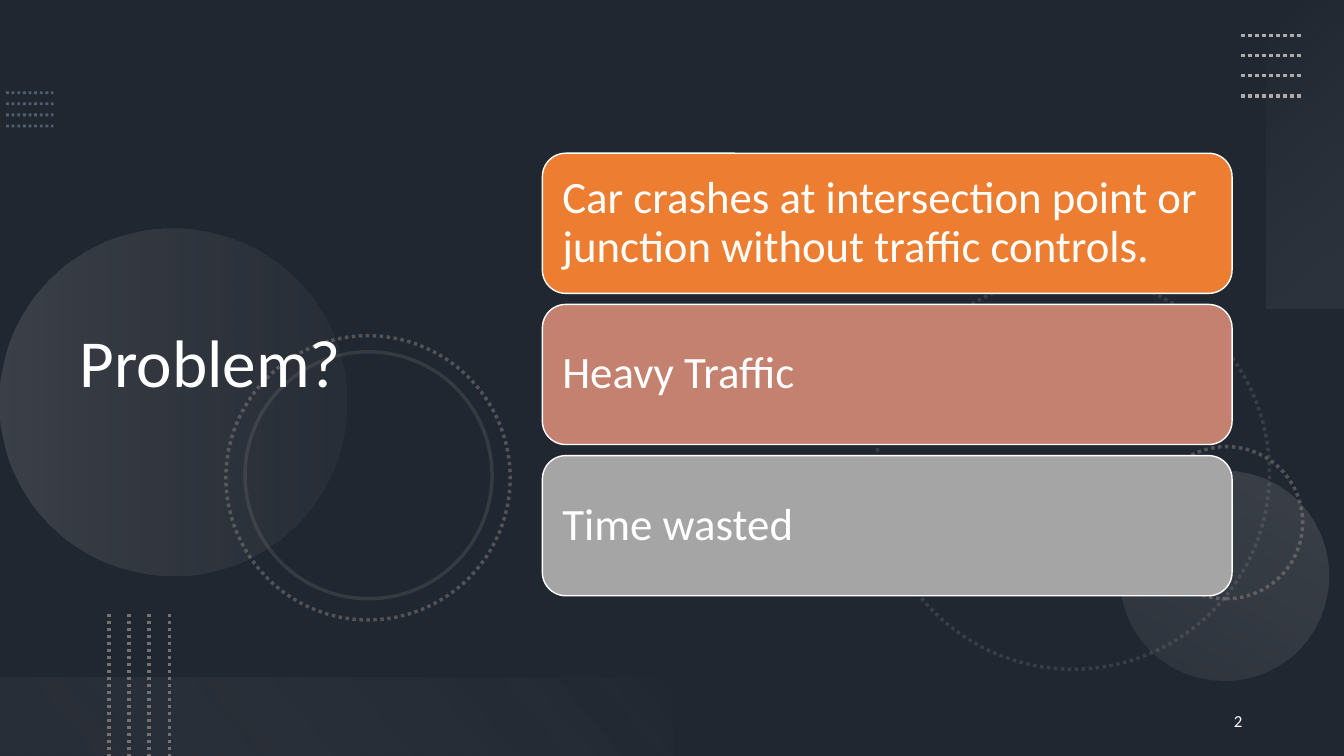
from dataclasses import dataclass

from lxml.etree import SubElement
from pptx import Presentation
from pptx.dml.color import RGBColor
from pptx.enum.dml import MSO_LINE
from pptx.enum.shapes import MSO_CONNECTOR, MSO_SHAPE
from pptx.enum.text import MSO_ANCHOR, MSO_AUTO_SIZE, PP_ALIGN
from pptx.oxml.ns import qn
from pptx.util import Emu, Pt

PX = 9144  # 100 px to the inch
FONT = "Calibri"

BLACK = RGBColor(0x00, 0x00, 0x00)
WHITE = RGBColor(0xFF, 0xFF, 0xFF)
SLATE = RGBColor(0x44, 0x54, 0x6A)
BLUE_GRAY = RGBColor(0x84, 0x97, 0xB0)
GRAY = RGBColor(0x76, 0x71, 0x71)
LIGHT_GRAY = RGBColor(0xAF, 0xAB, 0xAB)
PALE = RGBColor(0xF5, 0xF5, 0xF5)
ORANGE = RGBColor(0xED, 0x7D, 0x31)
ROSE = RGBColor(0xC4, 0x81, 0x70)
SILVER = RGBColor(0xA5, 0xA5, 0xA5)


@dataclass
class Stop:
    position: float
    color: RGBColor
    opacity: int


@dataclass
class Glow:
    """A shape with a translucent gradient; angle is clockwise."""
    kind: MSO_SHAPE
    box: tuple[int, int, int, int]
    rotation: int
    angle: int
    stops: tuple[Stop, Stop]


@dataclass
class Ring:
    left: int
    top: int
    size: int
    rotation: int
    opacity: int
    dotted: bool = True


@dataclass
class DotRows:
    """Four parallel dotted lines, each shifted by (dx, dy) from the last."""
    start: tuple[int, int]
    end: tuple[int, int]
    dx: int
    dy: int
    color: RGBColor
    width: float
    opacity: int = 100


@dataclass
class Card:
    text: str
    color: RGBColor


GLOWS_BEHIND = [
    Glow(MSO_SHAPE.OVAL, (0, 227, 344, 344), 270, 90,
         (Stop(0, LIGHT_GRAY, 20), Stop(1, GRAY, 10))),
    Glow(MSO_SHAPE.OVAL, (1110, 467, 208, 208), 210, 90,
         (Stop(0, LIGHT_GRAY, 10), Stop(1, LIGHT_GRAY, 20))),
    Glow(MSO_SHAPE.RECTANGLE, (1142, 114, 306, 78), 270, 140,
         (Stop(0, PALE, 0), Stop(1, LIGHT_GRAY, 10))),
    Glow(MSO_SHAPE.RECTANGLE, (0, 672, 667, 78), 180, 140,
         (Stop(0.1, GRAY, 10), Stop(1, PALE, 0))),
]
RINGS = [
    Ring(869, 274, 390, 75, 30),
    Ring(1141, 443, 151, 270, 60),
    Ring(224, 333, 282, 75, 60),
    Ring(243, 349, 245, 75, 25, dotted=False),
]
DOT_ROWS = [
    DotRows((6, 92), (53, 92), 0, 11, BLUE_GRAY, 2, 50),
    DotRows((1231, 35), (1291, 35), 0, 20, LIGHT_GRAY, 2.5),
    DotRows((108, 609), (108, 750), 20, 0, GRAY, 2.5),
]
CARDS = [
    Card("Car crashes at intersection point or junction without traffic controls.", ORANGE),
    Card("Heavy Traffic", ROSE),
    Card("Time wasted", SILVER),
]
CARD_TOP, CARD_PITCH = 152, 150


def px(*values: int) -> list[Emu]:
    return [Emu(v * PX) for v in values]


def set_opacity(element, *percents: int) -> None:
    """Give the element's RGB colours, in order, their opacities."""
    for color, percent in zip(element.iter(qn("a:srgbClr")), percents):
        SubElement(color, qn("a:alpha")).set("val", str(percent * 1000))


def add_plain(s, kind: MSO_SHAPE, box: tuple[int, int, int, int], rotation: int = 0):
    sp = s.shapes.add_shape(kind, *px(*box))
    sp.rotation = rotation
    sp.shadow.inherit = False
    return sp


def add_shade(s) -> None:
    sp = add_plain(s, MSO_SHAPE.RECTANGLE, (0, 0, 1333, 750))
    sp.fill.solid()
    sp.fill.fore_color.rgb = BLACK
    sp.line.fill.background()
    set_opacity(sp.element.spPr, 53)


def add_glow(s, glow: Glow) -> None:
    sp = add_plain(s, glow.kind, glow.box, glow.rotation)
    sp.fill.gradient()
    sp.fill.gradient_angle = 360 - glow.angle
    for target, stop in zip(sp.fill.gradient_stops, glow.stops):
        target.position = stop.position
        target.color.rgb = stop.color
    sp.line.fill.background()
    set_opacity(sp.element.spPr, *(stop.opacity for stop in glow.stops))


def style_line(line, color: RGBColor, width: float, dotted: bool) -> None:
    line.color.rgb = color
    line.width = Pt(width)
    if dotted:
        line.dash_style = MSO_LINE.ROUND_DOT


def add_ring(s, ring: Ring) -> None:
    sp = add_plain(s, MSO_SHAPE.OVAL, (ring.left, ring.top, ring.size, ring.size), ring.rotation)
    sp.fill.background()
    style_line(sp.line, GRAY, 2.5, ring.dotted)
    set_opacity(sp.element.spPr, ring.opacity)


def add_dot_rows(s, rows: DotRows) -> None:
    for i in range(4):
        dx, dy = i * rows.dx, i * rows.dy
        ends = px(rows.start[0] + dx, rows.start[1] + dy, rows.end[0] + dx, rows.end[1] + dy)
        line = s.shapes.add_connector(MSO_CONNECTOR.STRAIGHT, *ends)
        style_line(line.line, rows.color, rows.width, True)
        SubElement(line.element.spPr, qn("a:effectLst"))
        set_opacity(line.element.spPr, rows.opacity)


def set_text(sp, text: str, size: int, align: PP_ALIGN = PP_ALIGN.LEFT,
             spacing: float = 0.9) -> None:
    tf = sp.text_frame
    tf.text = text
    tf.word_wrap = True
    tf.auto_size = MSO_AUTO_SIZE.NONE
    tf.vertical_anchor = MSO_ANCHOR.MIDDLE
    p = tf.paragraphs[0]
    p.alignment = align
    p.line_spacing = spacing
    font = p.runs[0].font
    font.name, font.size, font.color.rgb = FONT, Pt(size), WHITE


def add_card(s, card: Card, top: int) -> None:
    sp = add_plain(s, MSO_SHAPE.ROUNDED_RECTANGLE, (538, top, 684, 139))
    sp.fill.solid()
    sp.fill.fore_color.rgb = card.color
    style_line(sp.line, WHITE, 1, False)
    set_text(sp, card.text, 32)
    tf = sp.text_frame
    tf.margin_left, tf.margin_top, tf.margin_right, tf.margin_bottom = px(13, 13, 13, 13)


def main() -> None:
    prs = Presentation()
    prs.slide_width, prs.slide_height = px(1333, 750)
    s = prs.slides.add_slide(prs.slide_layouts[5])
    s.background.fill.solid()
    s.background.fill.fore_color.rgb = SLATE

    add_shade(s)
    for ring in RINGS:
        add_ring(s, ring)
    for glow in GLOWS_BEHIND:
        add_glow(s, glow)
    for rows in DOT_ROWS:
        add_dot_rows(s, rows)

    title = s.shapes.title
    title.left, title.top, title.width, title.height = px(69, 54, 459, 617)
    set_text(title, "Problem?", 48)
    title.element.getparent().append(title.element)  # bring to front
    for i, card in enumerate(CARDS):
        add_card(s, card, CARD_TOP + i * CARD_PITCH)
    number = s.shapes.add_textbox(*px(942, 695, 300, 40))
    set_text(number, "2", 12, PP_ALIGN.RIGHT, 1.0)

    prs.save("out.pptx")


if __name__ == "__main__":
    main()
